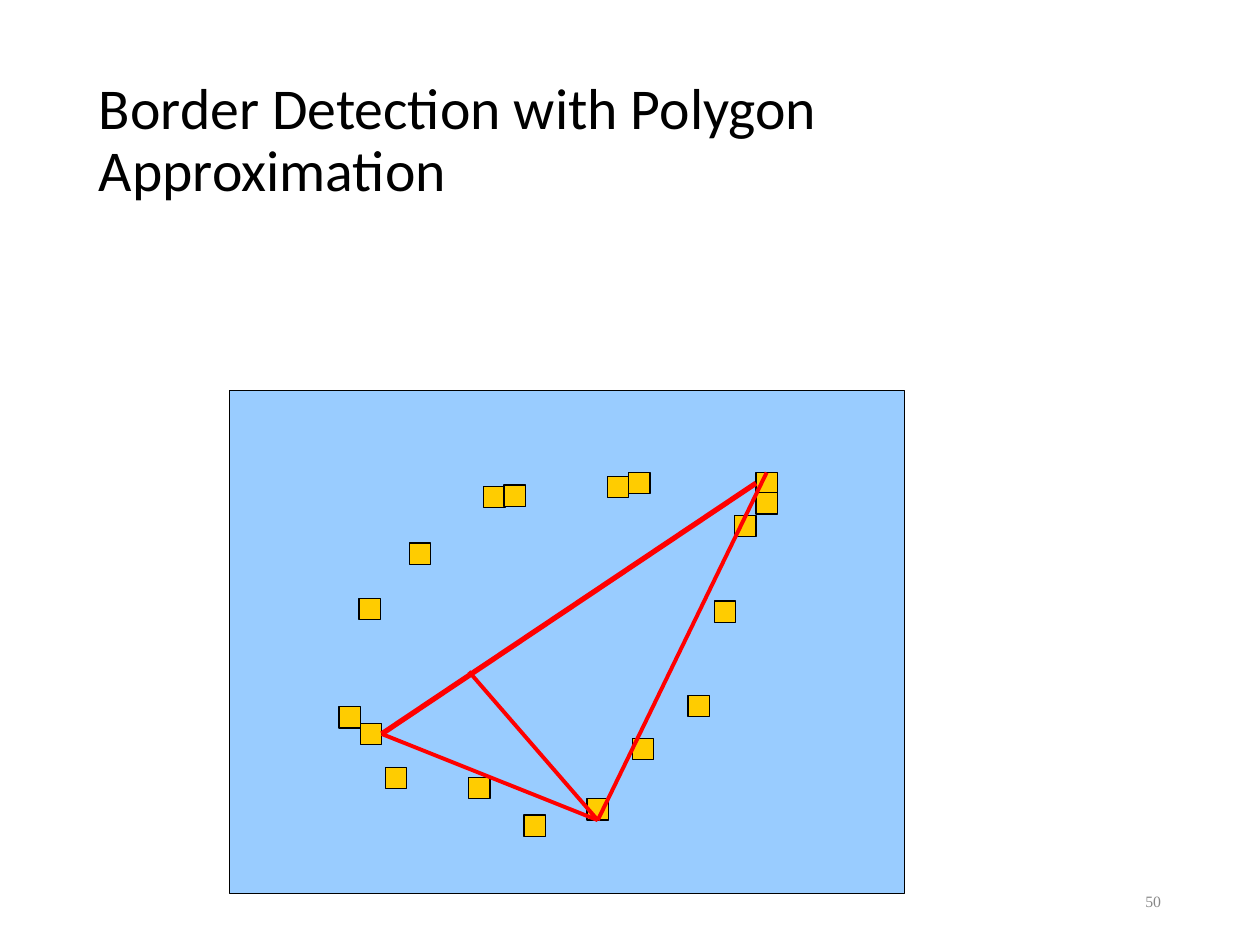
from dataclasses import dataclass
from typing import Optional

import pptx
import pptx.dml.color
import pptx.enum.shapes
import pptx.enum.text
import pptx.util
from lxml import etree
from pptx.util import Pt

RGBColor = pptx.dml.color.RGBColor
BLACK = RGBColor(0x00, 0x00, 0x00)
GREY = RGBColor(0x88, 0x88, 0x88)
BLUE = RGBColor(0x99, 0xCC, 0xFF)
YELLOW = RGBColor(0xFF, 0xCC, 0x00)
RED = RGBColor(0xFF, 0x00, 0x00)

PIXEL_SIZE = 12.2
TOP, LEFT, BOTTOM, RIGHT = range(4)
ALIGN = pptx.enum.text.PP_ALIGN
DRAWING_NS = "http://schemas.openxmlformats.org/drawingml/2006/main"


@dataclass(frozen=True)
class Area:
    left: float
    top: float
    width: float
    height: float

    def lengths(self) -> list:
        return [Pt(v) for v in (self.left, self.top, self.width, self.height)]


@dataclass(frozen=True)
class Label:
    text: str
    area: Area
    para_format: dict
    font_format: dict
    color: RGBColor


@dataclass(frozen=True)
class End:
    """A line end: a side of a named border pixel, or a free point."""
    pixel: Optional[str] = None
    side: int = TOP
    point: tuple[float, float] = (0, 0)


@dataclass(frozen=True)
class Edge:
    begin: End
    end: End
    weight: float


LABELS = [
    Label("Border Detection with Polygon Approximation",
          Area(49.5, 28.75, 621, 104.4),
          {"alignment": ALIGN.LEFT, "line_spacing": 0.9},
          {"name": "Calibri", "size": Pt(33)}, BLACK),
    Label("50", Area(508.5, 500.5, 162, 28.75),
          {"alignment": ALIGN.RIGHT},
          {"name": "Times New Roman", "size": Pt(9)}, GREY),
]

IMAGE_AREA = Area(131, 223.2, 386, 287.3)

# Left and top of each border pixel; those that carry polygon corners are named.
BORDER_PIXELS = {
    "left upper": (193.7, 403.9),
    "far corner": (432, 270),
    "left bend": (205.2, 342),
    "top 1": (276.5, 277.9),
    "top 2": (288, 277.2),
    "right 1": (408.2, 343.4),
    "right 2": (419.8, 294.5),
    "near corner": (205.9, 413.3),
    "below far corner": (432, 281.5),
    "top 3": (347, 272.2),
    "top 4": (359.3, 270),
    "right 3": (361.4, 421.9),
    "upper left": (234, 310.3),
    "bottom 1": (267.8, 444.2),
    "bottom 2": (220.3, 438.5),
    "bottom 3": (299.5, 465.8),
    "bottom corner": (335.5, 456.5),
    "right 4": (393.1, 397.4),
}

NEAR = End("near corner", RIGHT)
DEEPEST = End("bottom corner", BOTTOM)
EDGES = [
    Edge(NEAR, End("far corner", LEFT), 3),
    Edge(End(point=(268, 383.8)), DEEPEST, 2.25),
    Edge(End("far corner", TOP), DEEPEST, 2.25),
    Edge(NEAR, DEEPEST, 2.25),
]


def apply_format(target, values: dict) -> None:
    for name, value in values.items():
        setattr(target, name, value)


def add_label(page, label: Label) -> None:
    box = page.shapes.add_textbox(*label.area.lengths())
    apply_format(box.text_frame, {
        "word_wrap": True,
        "vertical_anchor": pptx.enum.text.MSO_ANCHOR.MIDDLE,
    })
    para = box.text_frame.paragraphs[0]
    apply_format(para, label.para_format)
    span = para.add_run()
    span.text = label.text
    apply_format(span.font, label.font_format)
    span.font.color.rgb = label.color


def add_rectangle(page, area: Area, fill: RGBColor):
    box = page.shapes.add_shape(
        pptx.enum.shapes.MSO_SHAPE.RECTANGLE, *area.lengths())
    box.shadow.inherit = False
    box.fill.solid()
    box.fill.fore_color.rgb = fill
    box.line.color.rgb = BLACK
    box.line.width = Pt(0.75)
    return box


def add_edge(page, edge: Edge, pixels: dict) -> None:
    line = page.shapes.add_connector(
        pptx.enum.shapes.MSO_CONNECTOR.STRAIGHT,
        *[Pt(v) for v in edge.begin.point + edge.end.point])
    for end, connect in ((edge.begin, line.begin_connect),
                         (edge.end, line.end_connect)):
        if end.pixel:
            connect(pixels[end.pixel], end.side)
    line.line.color.rgb = RED
    line.line.width = Pt(edge.weight)
    etree.SubElement(line._element.spPr, f"{{{DRAWING_NS}}}effectLst")


def main() -> None:
    deck = pptx.Presentation()
    apply_format(deck, {"slide_width": Pt(720), "slide_height": Pt(540)})
    page = deck.slides.add_slide(deck.slide_layouts[6])
    for label in LABELS:
        add_label(page, label)
    add_rectangle(page, IMAGE_AREA, BLUE)
    pixels = {
        name: add_rectangle(
            page, Area(left, top, PIXEL_SIZE, PIXEL_SIZE), YELLOW)
        for name, (left, top) in BORDER_PIXELS.items()
    }
    for edge in EDGES:
        add_edge(page, edge, pixels)
    deck.save("out.pptx")


if __name__ == "__main__":
    main()
